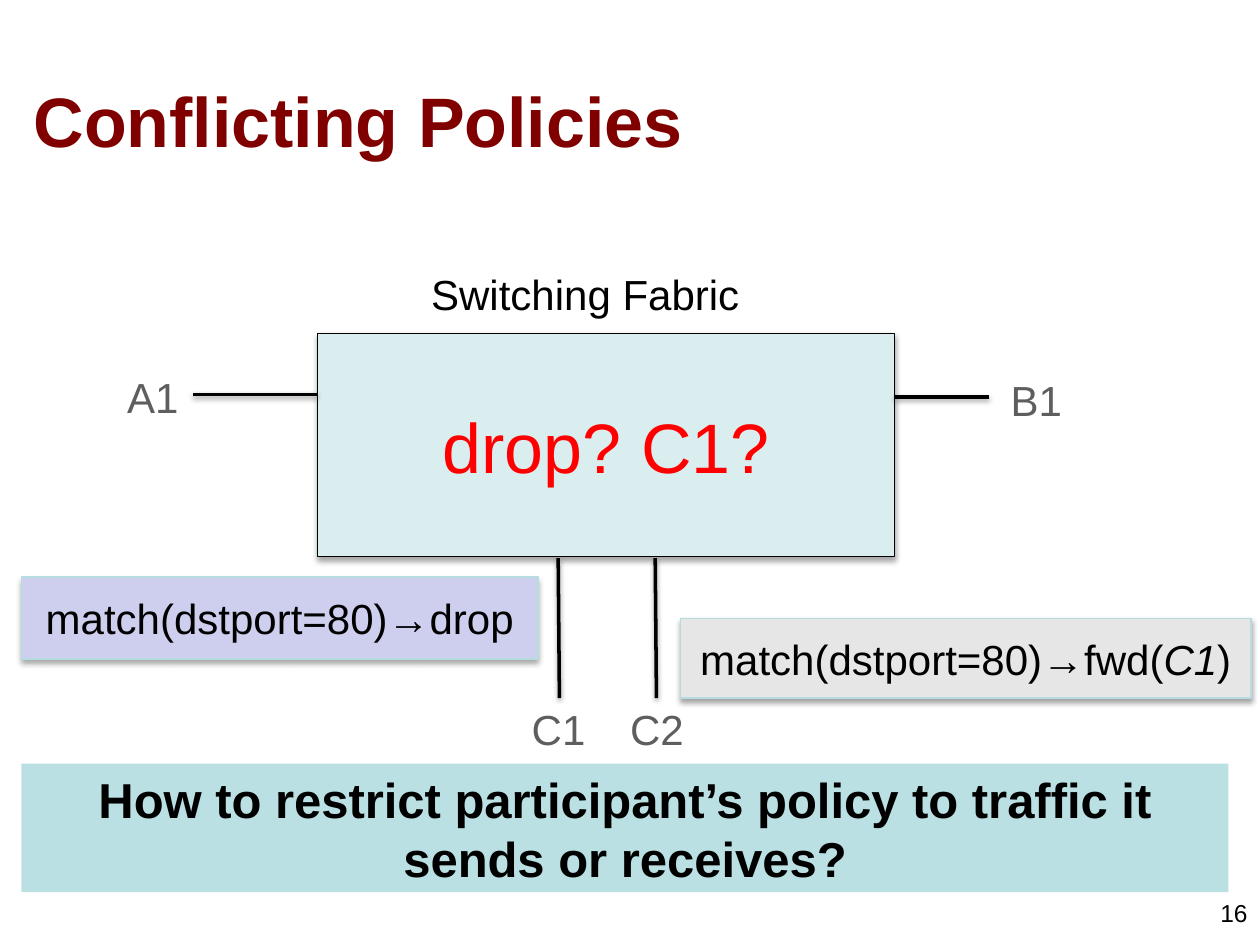
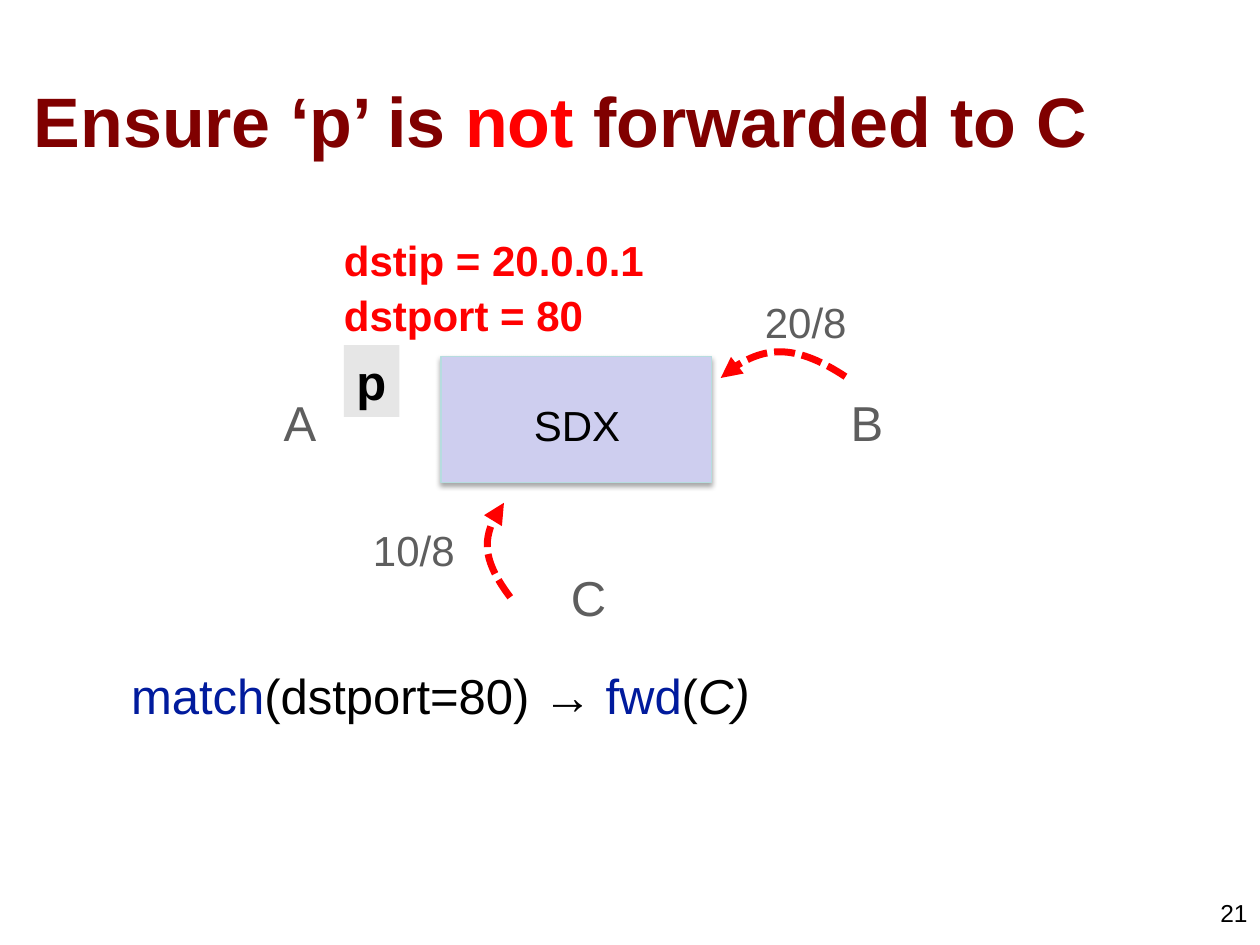
from lxml.etree import SubElement
from pptx import Presentation
from pptx.dml.color import RGBColor
from pptx.enum.dml import MSO_LINE
from pptx.enum.shapes import MSO_CONNECTOR, MSO_SHAPE
from pptx.enum.text import MSO_ANCHOR as ANCHOR, PP_ALIGN as ALIGN
from pptx.oxml.ns import qn
from pptx.util import Pt

PX = 9144  # EMU per px, 100 px to the inch
FONT = "Arial"
COLORS = {
    "black": "000000",
    "title": "800000",
    "alert": "FF0000",
    "label": "5E5E5E",
    "keyword": "011B9D",
    "fabric": "DAEDEF",
    "banner": "BBE0E3",
    "border": "B6DCDF",
    "lavender": "CECEEF",
    "gray": "E6E6E6",
}


def color(name):
    return RGBColor.from_string(COLORS[name])


def px(*lengths):
    return [length * PX for length in lengths]


def write(shape, paragraphs, size, align=ALIGN.LEFT, anchor=ANCHOR.MIDDLE,
          wrap=True, margin=None, spacing=None, before=None):
    """Fill a shape with paragraphs, each a list of (text, color, style) runs.

    A style is any of the letters b (bold) and i (italic).
    """
    frame = shape.text_frame
    frame.word_wrap = wrap
    frame.vertical_anchor = anchor
    if margin is not None:
        frame.margin_left = frame.margin_right = margin * PX
        frame.margin_top = frame.margin_bottom = margin * PX
    for index, runs in enumerate(paragraphs):
        paragraph = frame.add_paragraph() if index else frame.paragraphs[0]
        paragraph.alignment = align
        paragraph.line_spacing = spacing
        paragraph.space_before = before
        for text, color_name, style in runs:
            run = paragraph.add_run()
            run.text = text
            run.font.name = FONT
            run.font.size = Pt(size)
            run.font.color.rgb = color(color_name)
            run.font.bold = "b" in style
            run.font.italic = "i" in style


def add_text(slide, box, paragraphs, size, **layout):
    write(slide.shapes.add_textbox(*px(*box)), paragraphs, size, **layout)


def add_label(slide, box, paragraphs, size=24, **layout):
    """Add text without margins, set a little wider than single spacing."""
    add_text(slide, box, paragraphs, size, wrap=False, margin=0, spacing=1.1,
             **layout)


def add_node_label(slide, box, text, size=24):
    add_label(slide, box, [[(text, "label", "")]], size)


def add_shadow(effects, opacity, distance):
    shadow = SubElement(effects, qn("a:outerShdw"), blurRad=str(Pt(3.1)),
                        dist=str(Pt(distance)), dir="5400000", rotWithShape="0")
    tint = SubElement(shadow, qn("a:srgbClr"), val=COLORS["black"])
    SubElement(tint, qn("a:alpha"), val=str(opacity * 1000))


def add_box(slide, box, fill, border=None):
    """Add a rectangle; one with a border also casts a shadow."""
    shape = slide.shapes.add_shape(MSO_SHAPE.RECTANGLE, *px(*box))
    shape.fill.solid()
    shape.fill.fore_color.rgb = color(fill)
    shape.shadow.inherit = False
    if border:
        shape.line.color.rgb = color(border)
        shape.line.width = Pt(0.75)
        add_shadow(shape.element.spPr.find(qn("a:effectLst")), 35, 1.8)
    else:
        shape.line.fill.background()
    return shape


def add_link(slide, start, end):
    link = slide.shapes.add_connector(MSO_CONNECTOR.STRAIGHT, *px(*start, *end))
    link.line.color.rgb = color("black")
    link.line.width = Pt(2)
    add_shadow(SubElement(link.element.spPr, qn("a:effectLst")), 38, 1.6)


def add_route_arrow(slide, start, *controls_and_end):
    """Add a dashed Bezier arrow from its start, two controls and end."""
    builder = slide.shapes.build_freeform(*start, scale=PX)
    builder.add_line_segments(controls_and_end, close=False)
    arrow = builder.convert_to_shape()
    outline = next(arrow.element.iter(qn("a:moveTo"))).getparent()
    curve = SubElement(outline, qn("a:cubicBezTo"))
    for segment in outline.findall(qn("a:lnTo")):
        curve.append(segment[0])
        outline.remove(segment)
    arrow.fill.background()
    arrow.shadow.inherit = False
    arrow.line.color.rgb = color("alert")
    arrow.line.width = Pt(4)
    arrow.line.dash_style = MSO_LINE.SQUARE_DOT
    SubElement(arrow.element.spPr.find(qn("a:ln")), qn("a:tailEnd"),
               type="triangle")


def add_slide(presentation, title_runs, number):
    slide = presentation.slides.add_slide(presentation.slide_layouts[6])
    add_text(slide, (17, 32, 958, 125), [title_runs], 40)
    add_text(slide, (767, 708, 233, 25), [[(str(number), "black", "")]], 14,
             align=ALIGN.RIGHT, anchor=ANCHOR.TOP)
    return slide


def add_policies_slide(presentation):
    slide = add_slide(presentation, [("Conflicting Policies", "title", "b")], 16)
    fabric = add_box(slide, (252, 265, 458, 177), "fabric", "black")
    write(fabric, [[("drop? C1?", "alert", "")]], 40, align=ALIGN.CENTER)
    add_text(slide, (331, 208, 267, 50), [[("Switching Fabric", "black", "")]],
             24, align=ALIGN.CENTER, anchor=ANCHOR.TOP, wrap=False)

    ports = [
        ("A1", (101, 291), (252, 313), (153, 313)),
        ("B1", (802, 293), (785, 315), (710, 315)),
        ("C1", (422, 554), (443, 443), (444, 554)),
        ("C2", (500, 554), (520, 443), (521, 554)),
    ]
    for name, corner, start, end in ports:
        add_node_label(slide, (*corner, 48, 44), name)
        add_link(slide, start, end)

    banner = add_box(slide, (17, 606, 958, 102), "banner")
    question = "How to restrict participant’s policy to traffic it sends or receives?"
    write(banner, [[(question, "black", "b")]], 28, align=ALIGN.CENTER,
          anchor=ANCHOR.TOP, before=Pt(5.6))

    policies = [
        ((17, 458, 410, 65), "lavender", [("drop", "black", "")]),
        ((540, 491, 453, 63), "gray",
         [("fwd(", "black", ""), ("C1", "black", "i"), (")", "black", "")]),
    ]
    for box, fill, action in policies:
        match = ("match(dstport=80)→", "black", "")
        write(add_box(slide, box, fill, "border"), [[match, *action]], 24,
              align=ALIGN.CENTER)


def add_forwarding_slide(presentation):
    slide = add_slide(presentation, [("Ensure ‘p’ is ", "title", "b"),
                                     ("not", "alert", "b"),
                                     (" forwarded to C", "title", "b")], 21)
    policy = [("match", "keyword", ""), ("(dstport=80) → ", "black", ""),
              ("fwd", "keyword", ""), ("(", "black", ""), ("C)", "black", "i")]
    add_text(slide, (100, 524, 511, 55), [policy], 28, wrap=False, margin=4)

    add_box(slide, (350, 283, 215, 100), "lavender", "border")
    add_label(slide, (355, 313, 206, 44), [[("SDX", "black", "")]],
              align=ALIGN.CENTER)
    for name, left, top in [("A", 225, 307), ("B", 675, 307), ("C", 453, 446)]:
        add_node_label(slide, (left, top, 32, 51), name, 28)

    add_route_arrow(slide, (405, 474), (384, 446), (382, 421), (400, 399))
    add_node_label(slide, (296, 412, 71, 44), "10/8")
    add_route_arrow(slide, (671, 299), (633, 274), (600, 274), (572, 300))
    add_node_label(slide, (607, 231, 71, 44), "20/8")

    packet = add_box(slide, (273, 274, 44, 57), "gray")
    write(packet, [[("p", "black", "b")]], 28, anchor=ANCHOR.TOP, wrap=False)
    add_label(slide, (273, 182, 245, 88), [[("dstip = 20.0.0.1", "alert", "b")],
                                           [("dstport = 80", "alert", "b")]])


def main():
    presentation = Presentation()
    presentation.slide_width, presentation.slide_height = px(1000, 750)
    add_policies_slide(presentation)
    add_forwarding_slide(presentation)
    presentation.save("out.pptx")


if __name__ == "__main__":
    main()
